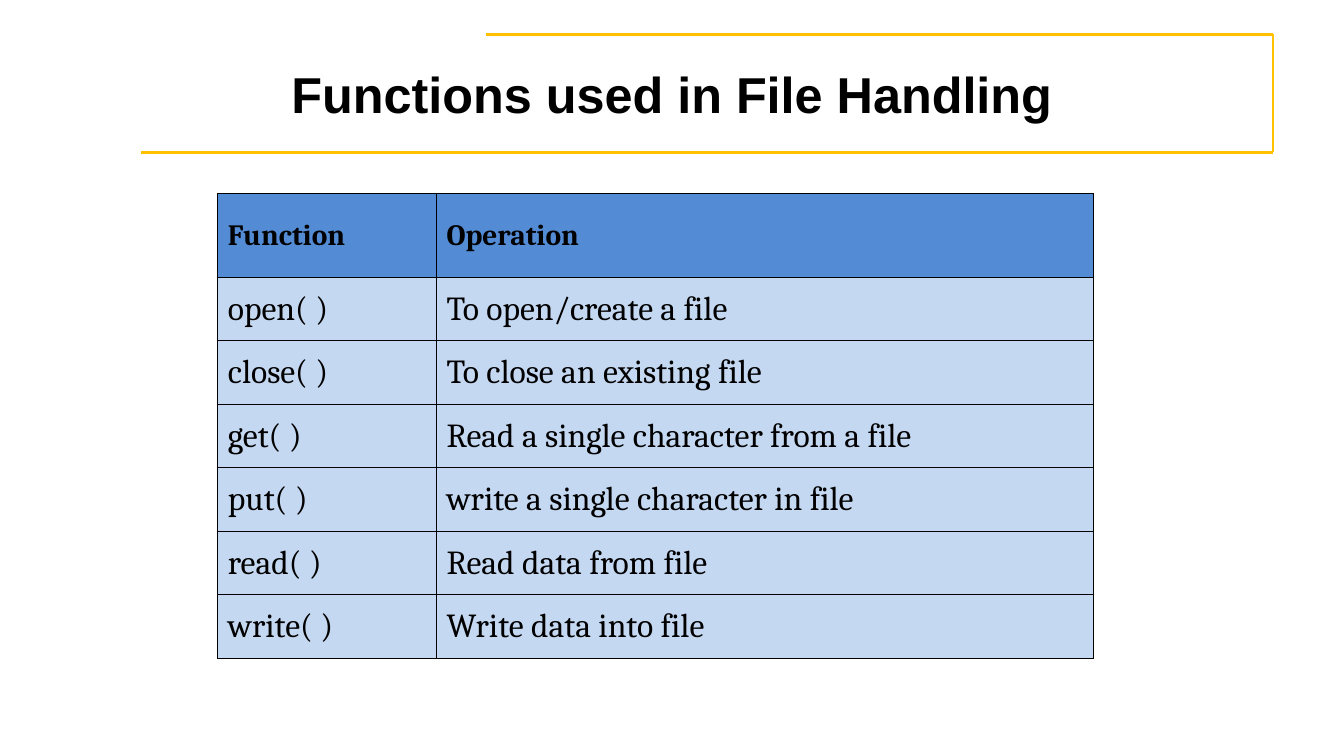
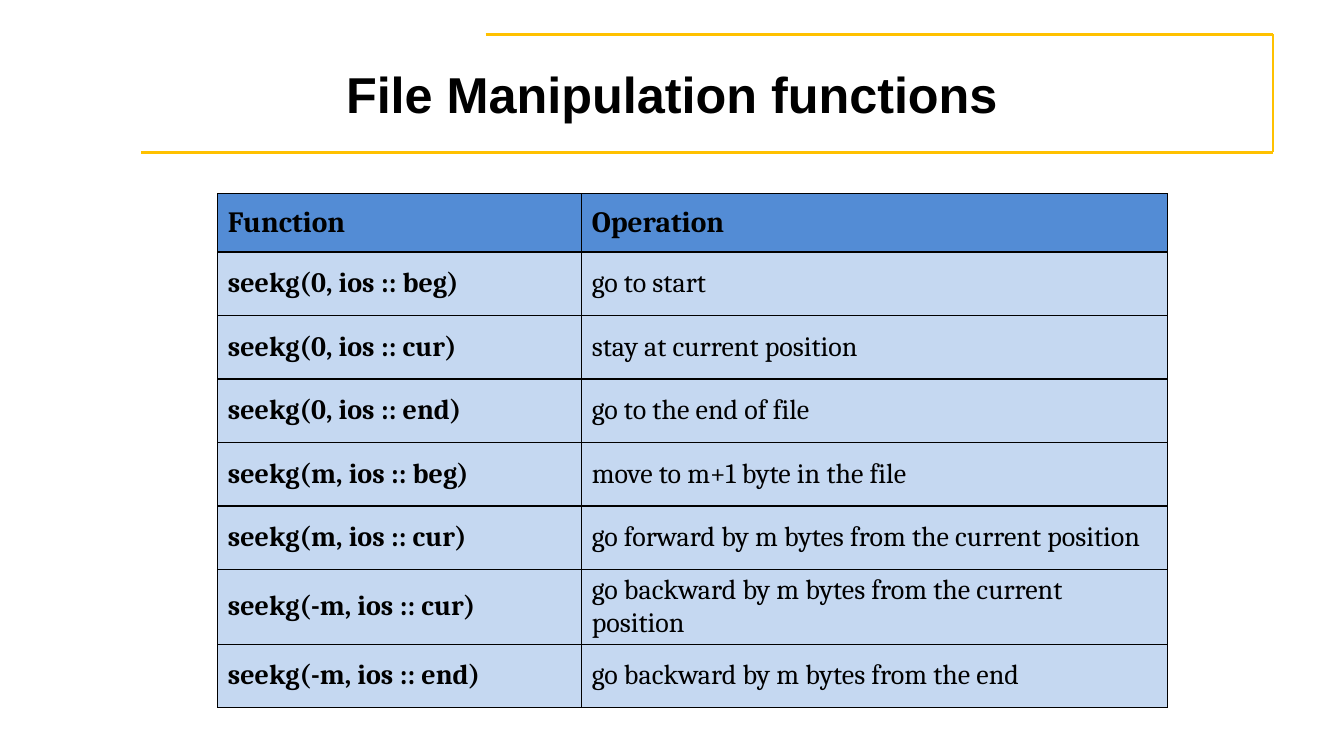
from lxml import etree
from pptx import Presentation
from pptx.dml.color import RGBColor
from pptx.enum import shapes, text
from pptx.oxml import ns
from pptx.util import Cm, Pt

COLOURS = {"ink": "000000", "frame": "FFC100", "header": "538CD5", "body": "C5D8F1"}
TITLE_FONT, TABLE_FONT = "Arial", "Cambria"
HEADINGS = ("Function", "Operation")

FILE_FUNCTIONS = [
    ("open( )", "To open/create a file"),
    ("close( )", "To close an existing file"),
    ("get( )", "Read a single character from a file"),
    ("put( )", "write a single character in file"),
    ("read( )", "Read data from file"),
    ("write( )", "Write data into file"),
]
SEEK_FUNCTIONS = [
    ("seekg(0, ios :: beg)", "go to start"),
    ("seekg(0, ios :: cur)", "stay at current position"),
    ("seekg(0, ios :: end)", "go to the end of file"),
    ("seekg(m, ios :: beg)", "move to m+1 byte in the file"),
    ("seekg(m, ios :: cur)", "go forward by m bytes from the current position"),
    ("seekg(-m, ios :: cur)", "go backward by m bytes from the current position"),
    ("seekg(-m, ios :: end)", "go backward by m bytes from the end"),
]


def colour(name):
    return RGBColor.from_string(COLOURS[name])


class Deck:
    def __init__(self):
        self.prs = Presentation()
        self.prs.slide_width, self.prs.slide_height = Cm(33.87), Cm(19.05)
        self.slide = None

    def new_slide(self, heading):
        self.slide = self.prs.slides.add_slide(self.prs.slide_layouts[5])
        self.frame()
        self.title(heading)

    def frame(self):
        corners = [(12.24, 0.86), (32.08, 0.86), (32.08, 3.84), (3.56, 3.84)]
        for start, end in zip(corners, corners[1:]):
            edge = self.slide.shapes.add_connector(
                shapes.MSO_CONNECTOR.STRAIGHT, *map(Cm, start + end))
            edge.line.color.rgb = colour("frame")
            edge.line.width = Pt(2)
            etree.SubElement(edge.element.spPr, ns.qn("a:effectLst"))

    def title(self, heading):
        title = self.slide.shapes.title
        title.left, title.top, title.width, title.height = map(Cm, (1.7, 0.76, 30.48, 3.18))
        title.text_frame.auto_size = text.MSO_AUTO_SIZE.NONE
        title.text_frame.vertical_anchor = text.MSO_ANCHOR.MIDDLE
        paragraph = title.text_frame.paragraphs[0]
        paragraph.alignment = text.PP_ALIGN.CENTER
        self.run(paragraph, heading, TITLE_FONT, 36, True)

    def run(self, paragraph, words, font_name, size, bold):
        run = paragraph.add_run()
        run.text = words
        run.font.name, run.font.size, run.font.bold = font_name, Pt(size), bold
        run.font.color.rgb = colour("ink")

    def table(self, entries, widths, header_height, body_size, bold_names=False):
        row_height = 1.6
        table = self.slide.shapes.add_table(
            len(entries) + 1, len(widths), Cm(5.49), Cm(4.88),
            Cm(sum(widths)), Cm(header_height + row_height * len(entries))).table
        table.first_row = table.horz_banding = False
        for column, width in zip(table.columns, widths):
            column.width = Cm(width)
        for r, entry in enumerate([HEADINGS] + entries):
            is_header = r == 0
            table.rows[r].height = Cm(header_height if is_header else row_height)
            for c, words in enumerate(entry):
                self.cell(table.cell(r, c), words, "header" if is_header else "body",
                          21 if is_header else body_size,
                          is_header or (bold_names and c == 0))

    def cell(self, cell, words, fill, size, bold):
        cell.vertical_anchor = text.MSO_ANCHOR.MIDDLE
        properties = cell._tc.get_or_add_tcPr()
        for side in ("a:lnL", "a:lnR", "a:lnT", "a:lnB"):
            border = etree.SubElement(properties, ns.qn(side), w=str(Pt(1)))
            solid = etree.SubElement(border, ns.qn("a:solidFill"))
            etree.SubElement(solid, ns.qn("a:srgbClr"), val=COLOURS["ink"])
        cell.fill.solid()
        cell.fill.fore_color.rgb = colour(fill)
        self.run(cell.text_frame.paragraphs[0], words, TABLE_FONT, size, bold)


def main():
    deck = Deck()
    deck.new_slide("Functions used in File Handling")
    deck.table(FILE_FUNCTIONS, (5.51, 16.56), 2.11, 24)
    deck.new_slide("File Manipulation functions")
    deck.table(SEEK_FUNCTIONS, (9.17, 14.76), 1.47, 20, bold_names=True)
    deck.prs.save("out.pptx")


if __name__ == "__main__":
    main()
